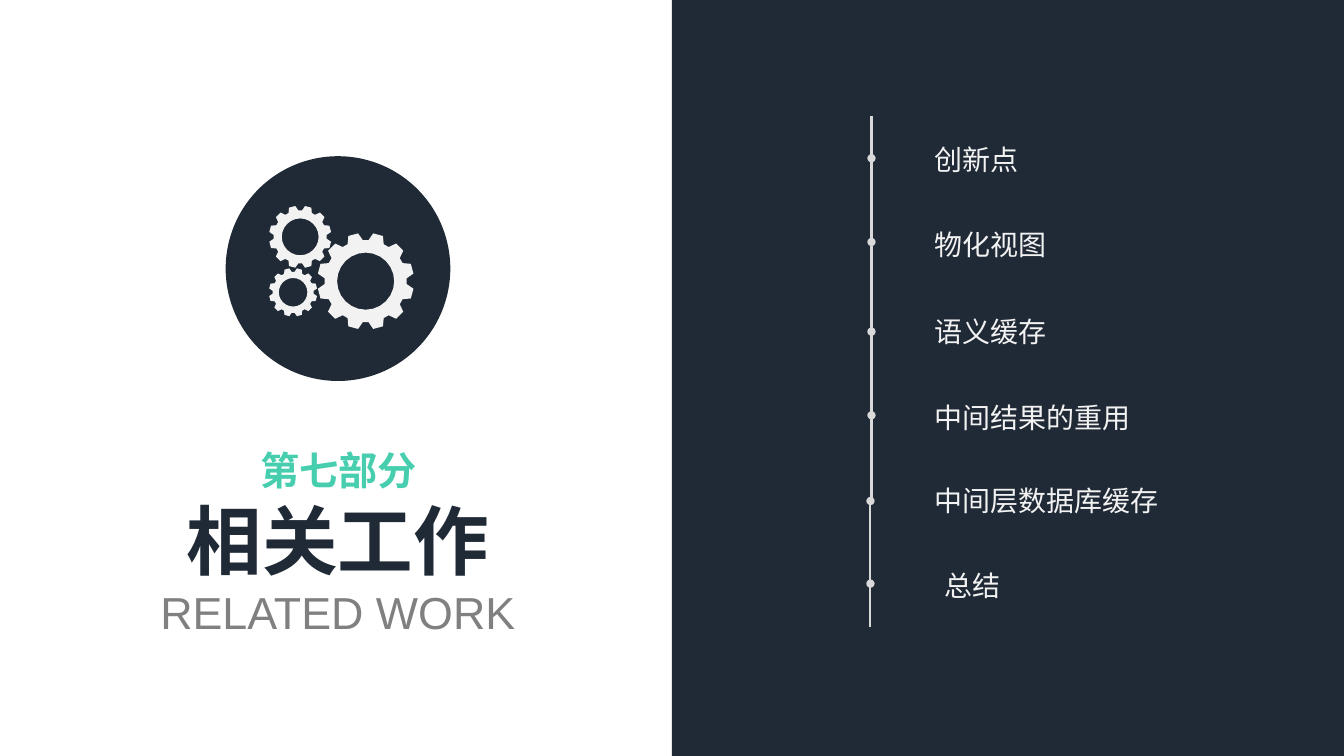
import math

import lxml.etree
import pptx
import pptx.dml.color
import pptx.enum.shapes
import pptx.enum.text
import pptx.oxml.ns
import pptx.util
from pptx.util import Inches

NAVY = "202A36"
TEAL = "46CEAE"
GRAY = "808080"
PALE = "F2F2F2"
RULE = "D9D9D9"
CHINESE_FONT = "Noto Sans CJK SC"
LATIN_FONT = "Arial"

LEFT = pptx.enum.text.PP_ALIGN.LEFT
CENTER = pptx.enum.text.PP_ALIGN.CENTER

GEARS = [(3.63, 2.79, 0.48), (2.98, 2.35, 0.31), (2.91, 2.9, 0.24)]
TOOTH_PROFILE = [(-11, 0.85), (-6, 1), (6, 1), (11, 0.85)]
TOPICS = [
    ("创新点", 9.18, 1.36, 1.04),
    ("物化视图", 9.18, 2.21, 1.32),
    ("语义缓存", 9.18, 3.07, 1.32),
    ("中间结果的重用", 9.18, 3.92, 2.17),
    ("中间层数据库缓存", 9.18, 4.75, 2.45),
    ("总结", 9.28, 5.59, 0.76),
]
TIMELINE_TOP = 1.15
TIMELINE_BOTTOM = 6.22
DOTS = [(8.65, 1.57), (8.65, 2.4), (8.65, 3.29), (8.65, 4.12), (8.64, 4.97), (8.64, 5.79)]


def color(value):
    return pptx.dml.color.RGBColor.from_string(value)


def fill_plain(shape, value):
    shape.shadow.inherit = False
    shape.fill.solid()
    shape.fill.fore_color.rgb = color(value)
    shape.line.fill.background()


def add_plain_shape(slide, kind, left, top, width, height, value):
    shape = slide.shapes.add_shape(
        kind, Inches(left), Inches(top), Inches(width), Inches(height))
    fill_plain(shape, value)


def format_paragraph(paragraph, text, size, value, bold, font_name, alignment):
    paragraph.text = text
    paragraph.alignment = alignment
    font = paragraph.font
    font.size = pptx.util.Pt(size)
    font.bold = bold
    font.name = font_name
    font.color.rgb = color(value)
    properties = paragraph._p.find(".//" + pptx.oxml.ns.qn("a:defRPr"))
    east_asian = lxml.etree.SubElement(properties, pptx.oxml.ns.qn("a:ea"))
    east_asian.set("typeface", font_name)


def add_label(slide, text, left, top, width, height, size, value, bold, alignment):
    label = slide.shapes.add_textbox(
        Inches(left), Inches(top), Inches(width), Inches(height))
    frame = label.text_frame
    frame.word_wrap = False
    format_paragraph(
        frame.paragraphs[0], text, size, value, bold, CHINESE_FONT, alignment)


def fill_title(slide):
    title = slide.shapes.title
    title.left, title.top = Inches(1.41), Inches(4.85)
    title.width, title.height = Inches(3.89), Inches(1.55)
    frame = title.text_frame
    frame.word_wrap = False
    frame.auto_size = pptx.enum.text.MSO_AUTO_SIZE.NONE
    frame.vertical_anchor = pptx.enum.text.MSO_ANCHOR.TOP
    format_paragraph(
        frame.paragraphs[0], "相关工作", 54, NAVY, True, CHINESE_FONT, CENTER)
    format_paragraph(
        frame.add_paragraph(), "RELATED WORK", 32, GRAY, False, LATIN_FONT, CENTER)


def add_gear(slide, center_x, center_y, radius):
    def point(degrees, ratio):
        angle = math.radians(degrees)
        return (Inches(center_x + radius * ratio * math.cos(angle)),
                Inches(center_y + radius * ratio * math.sin(angle)))

    rim = [point(tooth + offset, ratio)
           for tooth in range(15, 375, 30)
           for offset, ratio in TOOTH_PROFILE]
    hole = [point(-degrees, 0.59) for degrees in range(0, 360, 15)]
    builder = slide.shapes.build_freeform(*rim[0], scale=1.0)
    builder.add_line_segments(rim[1:], close=True)
    builder.move_to(*hole[0])
    builder.add_line_segments(hole[1:], close=True)
    fill_plain(builder.convert_to_shape(), PALE)


def add_timeline_segment(slide, x, start_y, end_y, dotted):
    connector = slide.shapes.add_connector(
        pptx.enum.shapes.MSO_CONNECTOR.STRAIGHT,
        Inches(x), Inches(start_y), Inches(x), Inches(end_y))
    connector.line.width = pptx.util.Pt(1.5)
    connector.line.color.rgb = color(RULE)
    properties = connector._element.spPr
    if dotted:
        line = properties.find(pptx.oxml.ns.qn("a:ln"))
        lxml.etree.SubElement(line, pptx.oxml.ns.qn("a:tailEnd")).set("type", "oval")
    lxml.etree.SubElement(properties, pptx.oxml.ns.qn("a:effectLst"))


def add_timeline(slide):
    first_x, first_y = DOTS[0]
    add_timeline_segment(slide, first_x, first_y, TIMELINE_TOP, False)
    starts = [y for _, y in DOTS[1:]] + [TIMELINE_BOTTOM]
    for (x, dot_y), start_y in zip(DOTS, starts):
        add_timeline_segment(slide, x, start_y, dot_y, True)


def main():
    presentation = pptx.Presentation()
    presentation.slide_width = Inches(13.34)
    presentation.slide_height = Inches(7.5)
    slide = presentation.slides.add_slide(presentation.slide_layouts[5])
    shapes = pptx.enum.shapes.MSO_SHAPE

    add_label(slide, "第七部分", 2.48, 4.38, 1.76, 0.57, 28, TEAL, True, CENTER)
    fill_title(slide)
    add_plain_shape(slide, shapes.OVAL, 2.24, 1.55, 2.23, 2.23, NAVY)
    for gear in GEARS:
        add_gear(slide, *gear)

    add_plain_shape(slide, shapes.RECTANGLE, 6.67, 0, 6.67, 7.5, NAVY)
    add_timeline(slide)
    for text, left, top, width in TOPICS:
        add_label(slide, text, left, top, width, 0.44, 20, PALE, False, LEFT)

    presentation.save("out.pptx")


if __name__ == "__main__":
    main()
